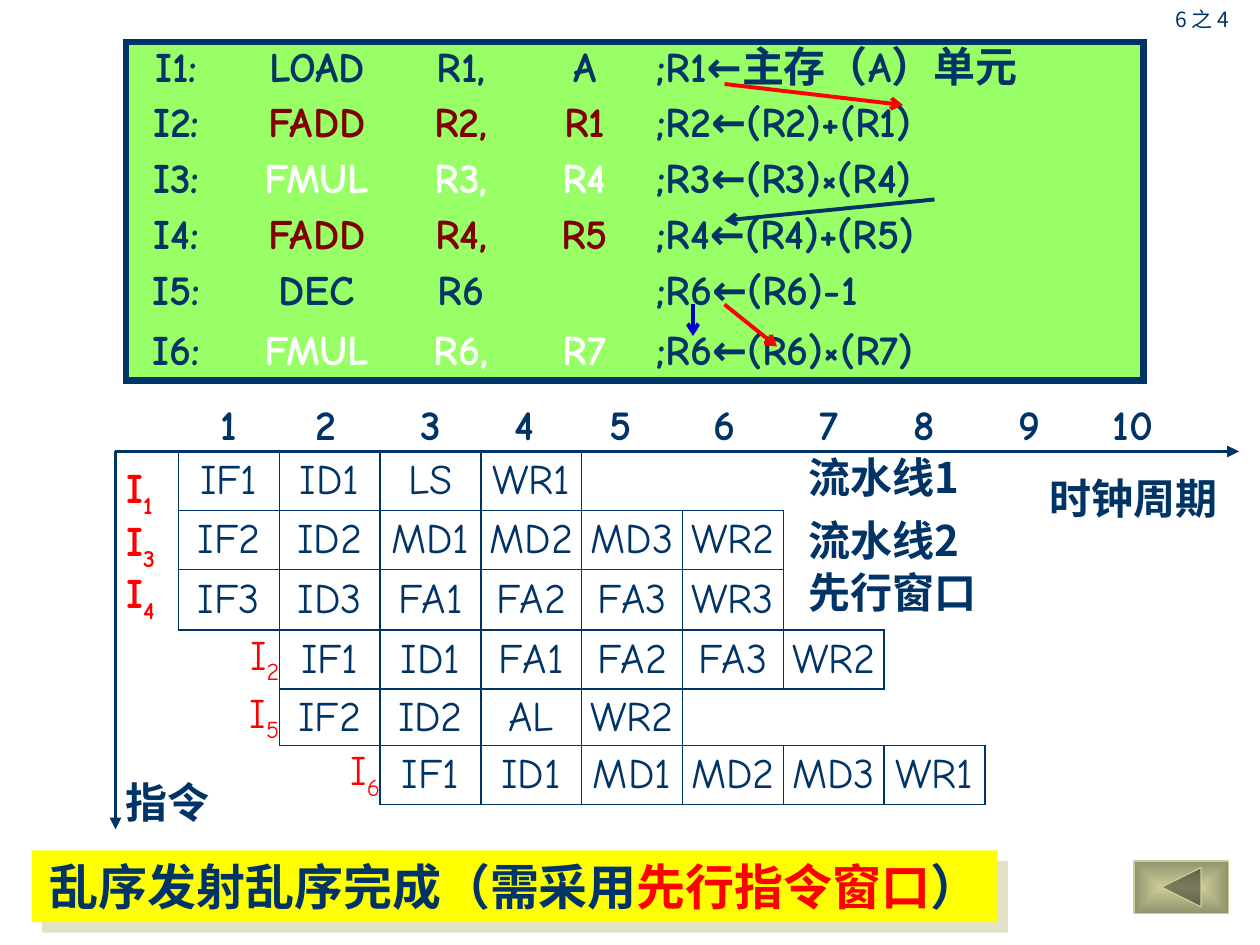
from typing import NamedTuple, Optional

from lxml import etree
from pptx import Presentation
from pptx.dml.color import RGBColor
from pptx.enum import shapes, text
from pptx.oxml.ns import qn
from pptx.util import Pt

NAVY = RGBColor(0x00, 0x33, 0x66)
RED = RGBColor(0xFF, 0x00, 0x00)
MAROON = RGBColor(0x80, 0x00, 0x00)
WHITE = RGBColor(0xFF, 0xFF, 0xFF)
BLUE = RGBColor(0x00, 0x00, 0xCC)
GREEN = RGBColor(0x99, 0xFF, 0x66)
YELLOW = RGBColor(0xFF, 0xFF, 0x00)
SAND = RGBColor(0xCC, 0xCC, 0x99)
OLIVE = RGBColor(0x92, 0x92, 0x6D)
SHADOW = RGBColor(0xE3, 0xE2, 0xC7)

COMIC = "Comic Neue"
NOTO = "Noto Sans CJK SC"
NO_STYLE = "{2D5ABB26-0587-4C30-8999-92F81FD0307C}"
LEFT, CENTER, RIGHT = text.PP_ALIGN.LEFT, text.PP_ALIGN.CENTER, text.PP_ALIGN.RIGHT


class Run(NamedTuple):
    text: str
    color: RGBColor = NAVY
    subscript: bool = False


class Label(NamedTuple):
    left: float
    top: float
    width: float
    runs: list[Run]
    font: str = NOTO


class Arrow(NamedTuple):
    start: tuple[float, float]
    end: tuple[float, float]
    color: RGBColor
    head: str


class Issue(NamedTuple):
    """Stages of one instruction, from the clock cycle it starts in."""
    first_column: int
    stages: list[str]
    number: Optional[str] = None


INSTRUCTIONS = [
    ("I1:", "LOAD", "R1,", "A", ";R1←主存（A）单元"),
    ("I2:", "FADD", "R2,", "R1", ";R2←(R2)+(R1)"),
    ("I3:", "FMUL", "R3,", "R4", ";R3←(R3)×(R4)"),
    ("I4:", "FADD", "R4,", "R5", ";R4←(R4)+(R5)"),
    ("I5:", "DEC", "R6", "", ";R6←(R6)-1"),
    ("I6:", "FMUL", "R6,", "R7", ";R6←(R6)×(R7)"),
]
OPERATION_COLORS = {"FADD": MAROON, "FMUL": WHITE}

ISSUES = [
    Issue(0, ["IF1", "ID1", "LS", "WR1"]),
    Issue(0, ["IF2", "ID2", "MD1", "MD2", "MD3", "WR2"]),
    Issue(0, ["IF3", "ID3", "FA1", "FA2", "FA3", "WR3"]),
    Issue(1, ["IF1", "ID1", "FA1", "FA2", "FA3", "WR2"], "2"),
    Issue(1, ["IF2", "ID2", "AL", "WR2"], "5"),
    Issue(2, ["IF1", "ID1", "MD1", "MD2", "MD3", "WR1"], "6"),
]

CYCLE_LEFTS = [126, 180, 240, 294, 348, 408, 468, 522, 582, 636]
LABELS = [
    *[Label(left, 228, 30 if cycle == 10 else 18, [Run(str(cycle))], COMIC)
      for cycle, left in enumerate(CYCLE_LEFTS, 1)],
    *[Label(72, top, 24, [Run("I", RED), Run(number, RED, True)], COMIC)
      for number, top in (("1", 264), ("3", 294), ("4", 324))],
    Label(72, 444, 66, [Run("指令")]),
    Label(600, 270, 102, [Run("时钟周期")]),
    Label(462, 258, 96, [Run("流水线1")]),
    Label(462, 294, 96, [Run("流水线2")]),
    Label(462, 324, 102, [Run("先行窗口")]),
]
ARROWS = [
    Arrow((66, 258), (708, 258), NAVY, "triangle"),
    Arrow((66, 258), (66, 474), NAVY, "triangle"),
    Arrow((414, 48), (516, 60), RED, "arrow"),
    Arrow((414, 174), (444, 198), RED, "arrow"),
    Arrow((396, 174), (396, 192), BLUE, "arrow"),
    Arrow((534, 114), (414, 126), NAVY, "arrow"),
]


def write(frame, runs: list[Run], size: float = 24, font: str = COMIC,
          bold: bool = True, align=LEFT) -> None:
    paragraph = frame.paragraphs[0]
    paragraph.alignment = align
    for item in runs:
        run = paragraph.add_run()
        run.text = item.text
        run.font.size = Pt(size)
        run.font.bold = bold
        run.font.color.rgb = item.color
        run.font.name = font
        properties = run._r.get_or_add_rPr()
        etree.SubElement(properties, qn("a:ea"), typeface=font)
        if item.subscript:
            properties.set("baseline", "-25000")


def set_margins(target, horizontal: float, vertical: float) -> None:
    target.margin_left = target.margin_right = Pt(horizontal)
    target.margin_top = target.margin_bottom = Pt(vertical)


def add_label(slide, label: Label) -> None:
    box = slide.shapes.add_textbox(Pt(label.left), Pt(label.top), Pt(label.width), Pt(28.8))
    box.text_frame.word_wrap = True
    set_margins(box.text_frame, 0, 0)
    write(box.text_frame, label.runs, font=label.font)


def add_arrow(slide, arrow: Arrow) -> None:
    points = [Pt(value) for value in arrow.start + arrow.end]
    connector = slide.shapes.add_connector(shapes.MSO_CONNECTOR.STRAIGHT, *points)
    connector.line.color.rgb = arrow.color
    connector.line.width = Pt(2.25)
    etree.SubElement(connector.line._get_or_add_ln(), qn("a:tailEnd"), type=arrow.head)
    etree.SubElement(connector.element.spPr, qn("a:effectLst"))


def add_plain_table(slide, left: float, top: float, widths: list[float], heights: list[float]):
    frame = slide.shapes.add_table(len(heights), len(widths), Pt(left), Pt(top),
                                   Pt(sum(widths)), Pt(sum(heights)))
    table = frame.table
    table.first_row = table.horz_banding = False
    next(frame.element.iter(qn("a:tableStyleId"))).text = NO_STYLE
    for column, width in zip(table.columns, widths):
        column.width = Pt(width)
    for row, height in zip(table.rows, heights):
        row.height = Pt(height)
    return table


def set_borders(cell, widths: dict[str, float]) -> None:
    """Line the sides L, R, T, B; a side of width 0 stays clear."""
    properties = cell._tc.get_or_add_tcPr()
    for side in "LRTB":
        width = widths[side]
        line = etree.SubElement(properties, qn(f"a:ln{side}"), w=str(Pt(width)))
        if width:
            fill = etree.SubElement(line, qn("a:solidFill"))
            etree.SubElement(fill, qn("a:srgbClr"), val=str(NAVY))
        else:
            etree.SubElement(line, qn("a:noFill"))


def add_program(slide) -> None:
    table = add_plain_table(slide, 72, 24, [57.6, 103, 61.9, 79.2, 280],
                            [31.7, 31.7, 32.4, 31.7, 34.5, 31.7])
    last_row, last_column = len(INSTRUCTIONS) - 1, len(INSTRUCTIONS[0]) - 1
    for i, instruction in enumerate(INSTRUCTIONS):
        for j, words in enumerate(instruction):
            cell = table.cell(i, j)
            set_borders(cell, {"L": 4.5 * (j == 0), "R": 4.5 * (j == last_column),
                               "T": 4.5 * (i == 0), "B": 4.5 * (i == last_row)})
            cell.fill.solid()
            cell.fill.fore_color.rgb = GREEN
            set_margins(cell, 1.44, 1.44)
            color = OPERATION_COLORS.get(instruction[1], NAVY) if 0 < j < last_column else NAVY
            if words:
                write(cell.text_frame, [Run(words, color)],
                      align=LEFT if j == last_column else CENTER)


def add_schedule(slide) -> None:
    table = add_plain_table(slide, 102, 258, [57.6] * 10, [33.7, 33.7, 34.7, 33.7, 32.4, 33.7])
    stages = {(i, issue.first_column + k): name
              for i, issue in enumerate(ISSUES) for k, name in enumerate(issue.stages)}
    neighbours = {"L": (0, -1), "R": (0, 1), "T": (-1, 0), "B": (1, 0)}
    for i, issue in enumerate(ISSUES):
        for j in range(10):
            cell = table.cell(i, j)
            widths = {side: float((i, j) in stages or (i + down, j + across) in stages)
                      for side, (down, across) in neighbours.items()}
            if i == 0:
                widths["T"] *= 2.25
            set_borders(cell, widths)
            cell.fill.background()
            cell.vertical_anchor = text.MSO_ANCHOR.MIDDLE
            set_margins(cell, 0, 0)
            if (i, j) in stages:
                write(cell.text_frame, [Run(stages[i, j])], bold=False, align=CENTER)
            elif issue.number and j == issue.first_column - 1:
                write(cell.text_frame, [Run("I", RED), Run(issue.number, RED, True)],
                      bold=False, align=RIGHT)


def add_conclusion(slide) -> None:
    banner = slide.shapes.add_shape(shapes.MSO_SHAPE.RECTANGLE, Pt(18), Pt(486), Pt(552), Pt(41))
    banner.fill.solid()
    banner.fill.fore_color.rgb = YELLOW
    banner.line.fill.background()
    banner.shadow.inherit = False
    effects = banner.element.spPr.find(qn("a:effectLst"))
    shadow = etree.SubElement(effects, qn("a:outerShdw"), dist=str(Pt(8.5)), dir="2700000",
                              algn="ctr", rotWithShape="0")
    etree.SubElement(shadow, qn("a:srgbClr"), val=str(SHADOW))
    banner.text_frame.word_wrap = True
    set_margins(banner.text_frame, 7.2, 3.6)
    write(banner.text_frame, [Run("乱序发射乱序完成（需采用"), Run("先行指令窗口", RED), Run("）")],
          size=28, align=CENTER)


def add_back_button(slide) -> None:
    button = slide.shapes.add_shape(shapes.MSO_SHAPE.ACTION_BUTTON_BACK_OR_PREVIOUS,
                                    Pt(648), Pt(492), Pt(54), Pt(30))
    button.shadow.inherit = False
    button.line.color.rgb = SAND
    button.line.width = Pt(0.75)
    button.fill.gradient()
    for stop, color in zip(button.fill.gradient_stops, (SAND, OLIVE)):
        stop.color.rgb = color
    gradient = button.element.spPr.find(qn("a:gradFill"))
    gradient.remove(gradient.find(qn("a:lin")))
    center = etree.SubElement(gradient, qn("a:path"), {"path": "rect"})
    etree.SubElement(center, qn("a:fillToRect"), dict.fromkeys("ltrb", "50000"))


def main() -> None:
    presentation = Presentation()
    presentation.slide_width, presentation.slide_height = Pt(720), Pt(540)
    slide = presentation.slides.add_slide(presentation.slide_layouts[6])
    add_conclusion(slide)
    add_back_button(slide)
    add_program(slide)
    add_schedule(slide)
    for arrow in ARROWS:
        add_arrow(slide, arrow)
    for label in LABELS:
        add_label(slide, label)
    page = slide.shapes.add_textbox(Pt(654), Pt(0), Pt(66), Pt(22.3))
    page.text_frame.word_wrap = True
    write(page.text_frame, [Run("6 之 4")], size=12, font=NOTO, bold=False, align=CENTER)
    presentation.save("out.pptx")


if __name__ == "__main__":
    main()
